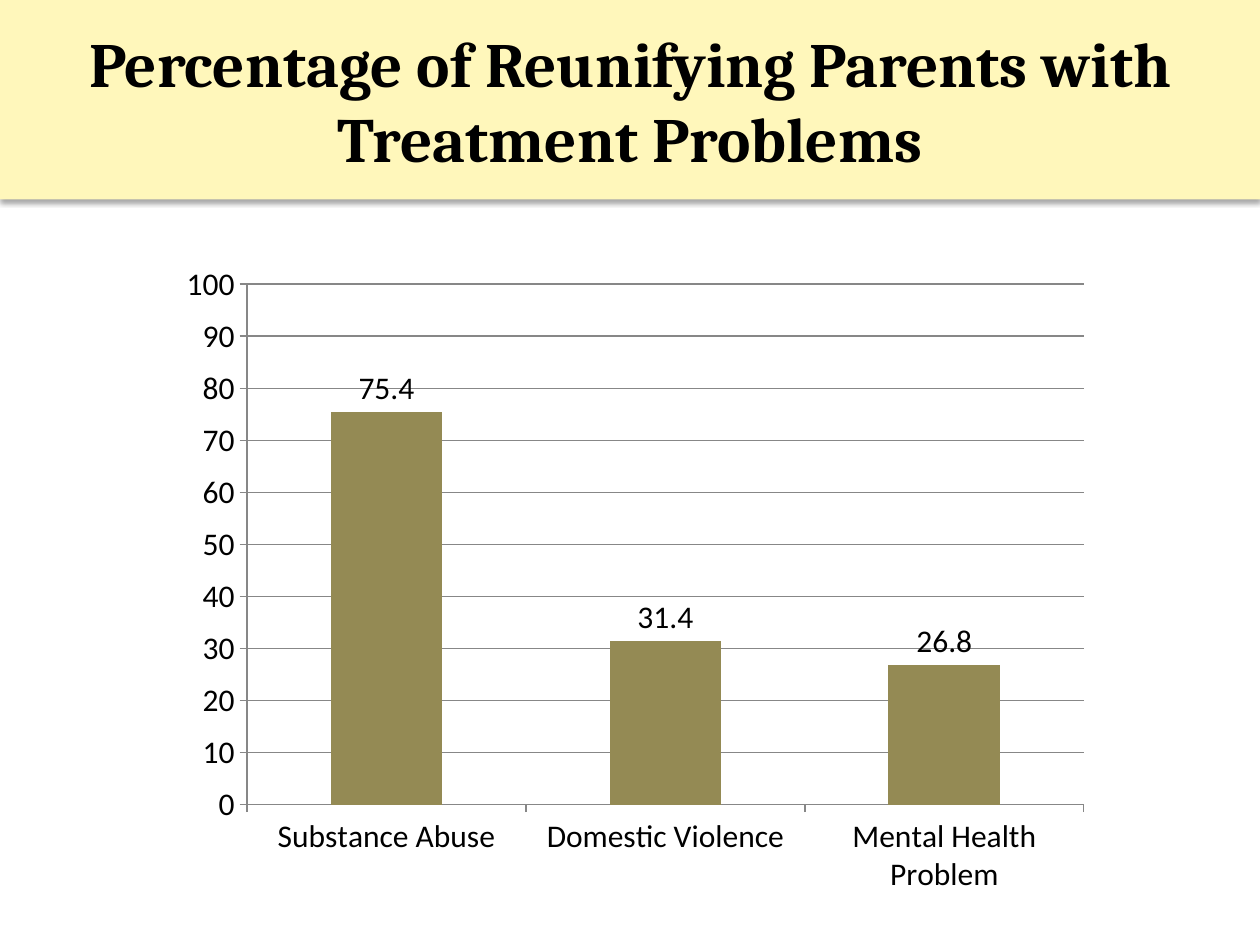
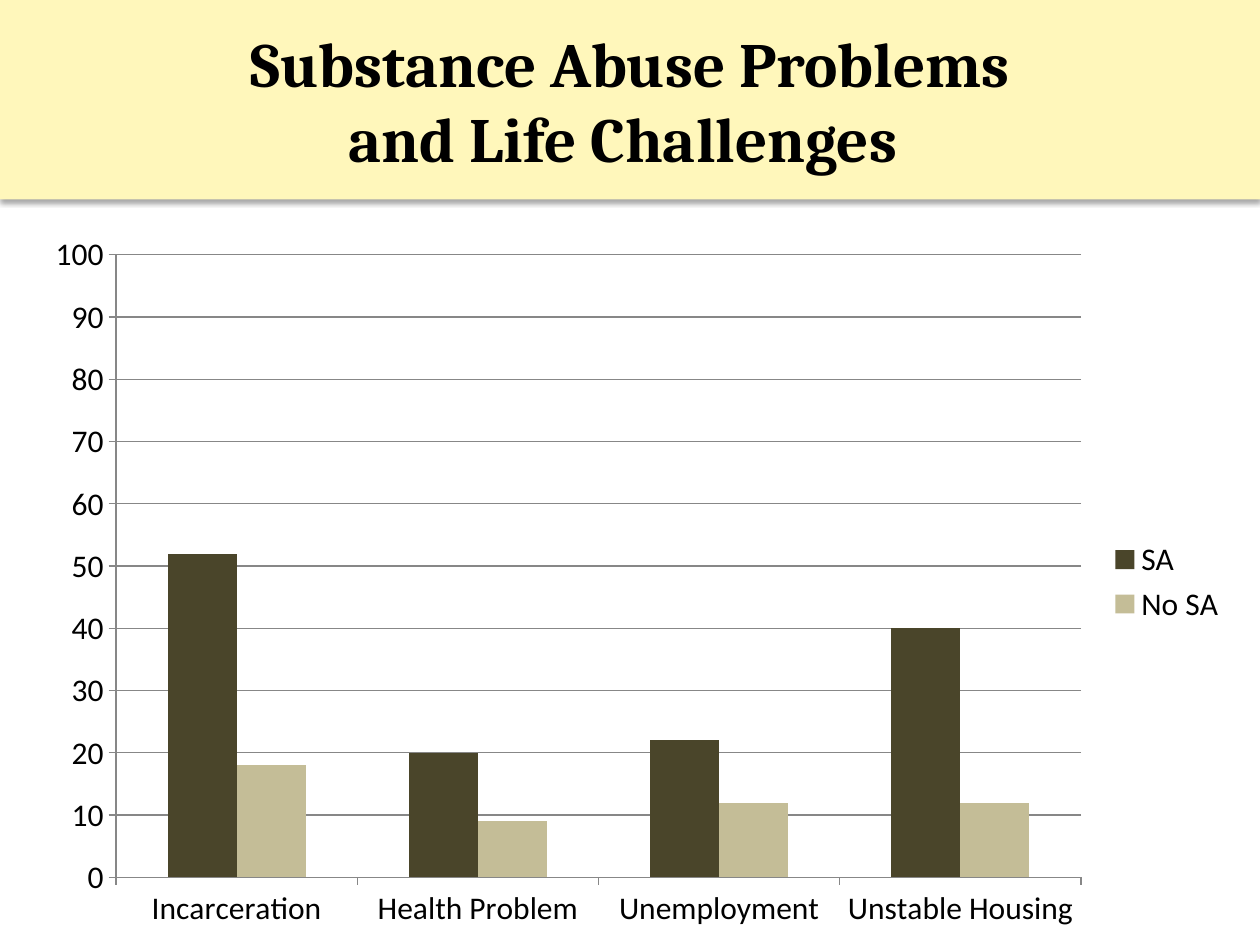
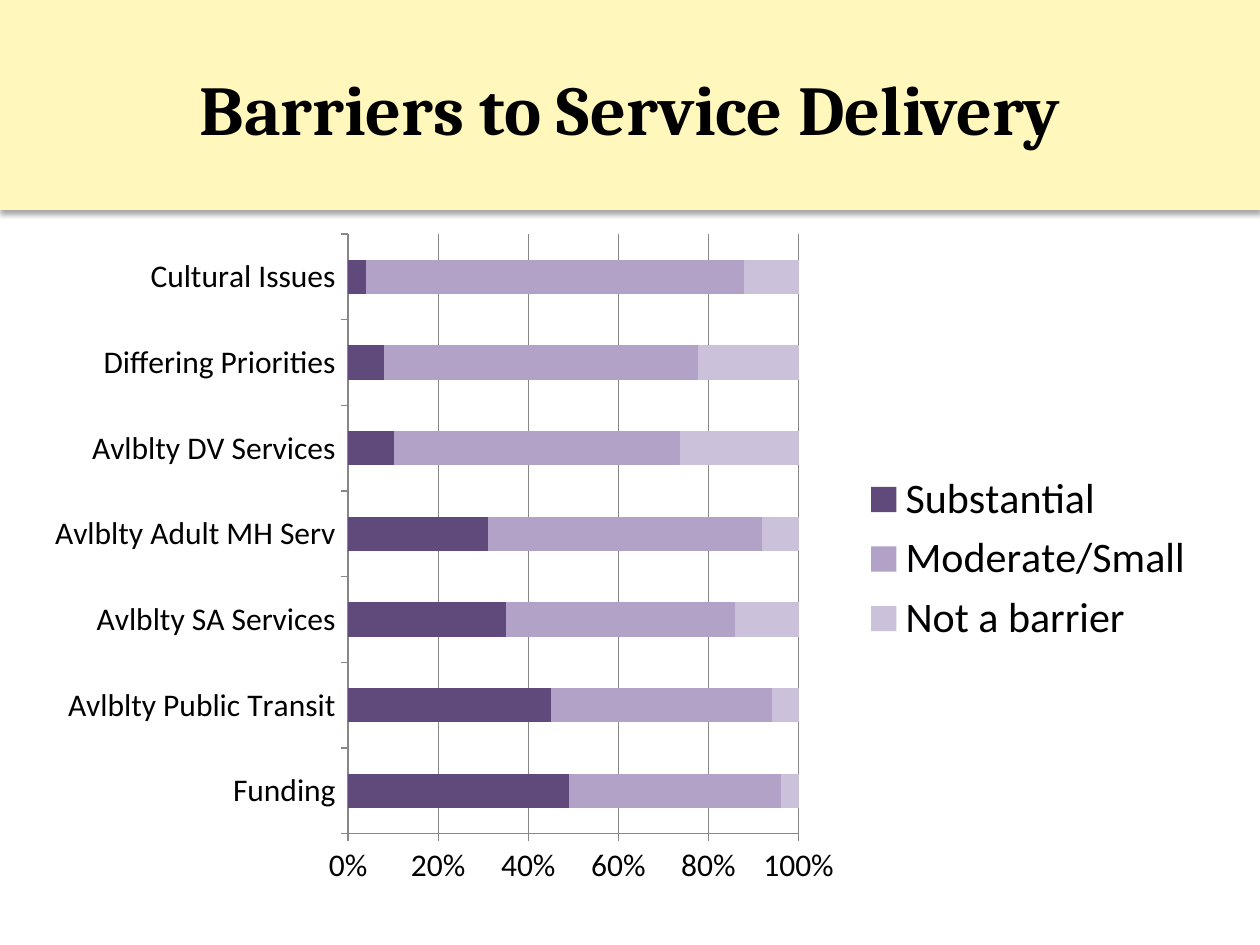
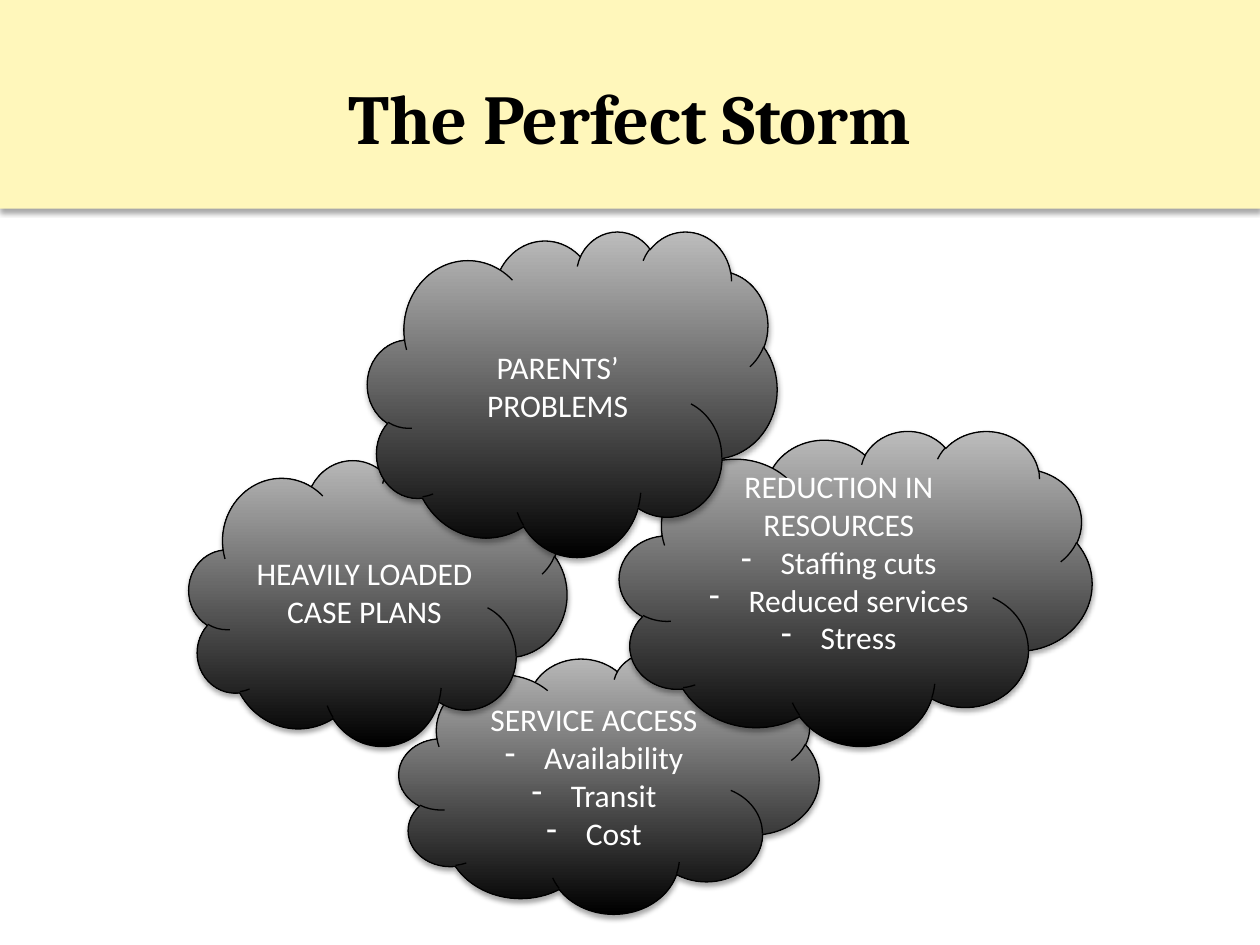
from copy import deepcopy
from dataclasses import dataclass

from lxml.etree import SubElement
from pptx import Presentation
from pptx.chart.data import CategoryChartData
from pptx.dml.color import RGBColor
from pptx.enum.chart import XL_CHART_TYPE, XL_LABEL_POSITION, XL_LEGEND_POSITION, XL_TICK_MARK
from pptx.enum.shapes import MSO_SHAPE
from pptx.enum.text import MSO_ANCHOR, MSO_AUTO_SIZE, PP_ALIGN
from pptx.oxml import parse_xml
from pptx.oxml.ns import nsdecls, qn
from pptx.util import Pt

TITLE_ONLY_LAYOUT = 5
SLIDE_WIDTH, SLIDE_HEIGHT = 720, 540


@dataclass(frozen=True)
class Theme:
    title_font: str = "Cambria"
    body_font: str = "Calibri"
    title_size: int = 40
    long_title_size: int = 36
    body_size: int = 18
    legend_size: int = 24
    band: str = "FFF7BB"
    dark: str = "000000"
    light: str = "FFFFFF"
    cloud_top: str = "BDBDBD"
    axis: str = "878787"
    olive: str = "948A54"
    dark_olive: str = "4A452A"
    pale_olive: str = "C4BD97"
    purples: tuple = ("604A7B", "B3A2C7", "CCC1DA")


THEME = Theme()


def color(value):
    return RGBColor.from_string(value)


def points(box):
    return [Pt(length) for length in box]


def format_font(font, *, name=THEME.body_font, size=THEME.body_size, ink=THEME.dark, bold=False):
    font.name = name
    font.size = Pt(size)
    font.bold = bold
    font.color.rgb = color(ink)


def write_paragraph(paragraph, text, *, bullet=None, align=PP_ALIGN.CENTER, **font_format):
    """Fill a paragraph; line breaks take the font of the first run."""
    paragraph.text = text
    paragraph.alignment = align
    for run in paragraph.runs:
        format_font(run.font, **font_format)
    for line_break in paragraph._p.findall(qn("a:br")):
        line_break.append(deepcopy(paragraph.runs[0].font._element))
    if bullet:
        properties = paragraph._p.get_or_add_pPr()
        properties.set("marL", str(Pt(22.5)))
        properties.set("indent", str(-Pt(22.5)))
        SubElement(properties, qn("a:buChar")).set("char", bullet)


def add_soft_shadow(shape):
    shape._element.spPr.append(parse_xml(
        f'<a:effectLst {nsdecls("a")}>'
        f'<a:outerShdw blurRad="{Pt(3.1)}" dist="{Pt(1.8)}" dir="5400000" rotWithShape="0">'
        f'<a:srgbClr val="{THEME.dark}"><a:alpha val="35000"/></a:srgbClr>'
        '</a:outerShdw></a:effectLst>'))


def add_band(slide, top, height):
    band = slide.shapes.add_shape(MSO_SHAPE.RECTANGLE, *points((0, top, SLIDE_WIDTH, height)))
    band.fill.solid()
    band.fill.fore_color.rgb = color(THEME.band)
    band.line.fill.background()
    add_soft_shadow(band)
    slide.shapes._spTree.insert(2, band._element)  # behind the title


def add_titled_slide(presentation, text, *, title_box=(36, 12, 648, 90), band_top=0,
                     band_height=120, size=THEME.title_size):
    slide = presentation.slides.add_slide(presentation.slide_layouts[TITLE_ONLY_LAYOUT])
    add_band(slide, band_top, band_height)
    title = slide.shapes.title
    title.left, title.top, title.width, title.height = points(title_box)
    frame = title.text_frame
    frame.auto_size = MSO_AUTO_SIZE.NONE
    frame.vertical_anchor = MSO_ANCHOR.MIDDLE
    write_paragraph(frame.paragraphs[0], text, name=THEME.title_font, size=size, bold=True)
    return slide


def format_axes(chart, maximum, number_format):
    for axis in (chart.category_axis, chart.value_axis):
        axis.major_tick_mark = XL_TICK_MARK.OUTSIDE
        axis.minor_tick_mark = XL_TICK_MARK.NONE
        axis.format.line.color.rgb = color(THEME.axis)
        axis.format.line.width = Pt(0.75)
    chart.category_axis.has_major_gridlines = False
    values = chart.value_axis
    values.has_major_gridlines = True
    values.major_gridlines.format.line.color.rgb = color(THEME.axis)
    values.major_gridlines.format.line.width = Pt(0.75)
    values.tick_labels.number_format = number_format
    values.tick_labels.number_format_is_linked = False
    if maximum:
        values.minimum_scale = 0
        values.maximum_scale = maximum
        values.major_unit = 10


def add_bar_chart(slide, box, categories, series, colors, *, kind=XL_CHART_TYPE.COLUMN_CLUSTERED,
                  maximum=100, number_format="General", legend_size=None, labels=False):
    data = CategoryChartData()
    data.categories = categories
    for name, values in series.items():
        data.add_series(name, values)
    chart = slide.shapes.add_chart(kind, *points(box), data).chart
    format_font(chart.font)
    chart.has_title = False
    format_axes(chart, maximum, number_format)

    plot = chart.plots[0]
    plot.gap_width = 150
    plot.vary_by_categories = False
    if kind == XL_CHART_TYPE.BAR_STACKED_100:
        plot.overlap = 100
    for bars, fill in zip(plot.series, colors):
        bars.format.fill.solid()
        bars.format.fill.fore_color.rgb = color(fill)
    if labels:
        plot.has_data_labels = True
        plot.data_labels.show_value = True
        plot.data_labels.position = XL_LABEL_POSITION.OUTSIDE_END
        format_font(plot.data_labels.font)

    chart.has_legend = legend_size is not None
    if chart.has_legend:
        chart.legend.position = XL_LEGEND_POSITION.RIGHT
        chart.legend.include_in_layout = False
        format_font(chart.legend.font, size=legend_size)


def add_cloud(slide, box, heading, items=(), *, bottom_margin=3.6):
    cloud = slide.shapes.add_shape(MSO_SHAPE.CLOUD, *points(box))
    cloud.fill.gradient()
    cloud.fill.gradient_angle = 90
    for stop, shade in zip(cloud.fill.gradient_stops, (THEME.dark, THEME.cloud_top)):
        stop.color.rgb = color(shade)
    cloud.line.color.rgb = color(THEME.dark)
    cloud.line.width = Pt(0.75)
    add_soft_shadow(cloud)

    frame = cloud.text_frame
    frame.word_wrap = True
    frame.vertical_anchor = MSO_ANCHOR.MIDDLE
    frame.margin_bottom = Pt(bottom_margin)
    write_paragraph(frame.paragraphs[0], heading, ink=THEME.light)
    for item in items:
        write_paragraph(frame.add_paragraph(), item, bullet="-", ink=THEME.light)


def add_treatment_slide(presentation):
    slide = add_titled_slide(presentation, "Percentage of Reunifying Parents with Treatment Problems",
                             band_height=114, size=THEME.long_title_size)
    add_bar_chart(slide, (96, 144, 534, 374),
                  ["Substance Abuse", "Domestic Violence", "Mental Health Problem"],
                  {"Series 1": (75.4, 31.4, 26.8)}, [THEME.olive], labels=True)


def add_challenges_slide(presentation):
    slide = add_titled_slide(presentation, "Substance Abuse Problems\vand Life Challenges ",
                             band_height=114, size=THEME.long_title_size)
    add_bar_chart(slide, (18, 126.5, 690, 412),
                  ["Incarceration", "Health Problem", "Unemployment", "Unstable Housing"],
                  {"SA": (52, 20, 22, 40), "No SA": (18, 9, 12, 12)},
                  [THEME.dark_olive, THEME.pale_olive], legend_size=THEME.body_size)


def add_barriers_slide(presentation):
    slide = add_titled_slide(presentation, "Barriers to Service Delivery", title_box=(24, 12, 672, 99))
    add_bar_chart(slide, (18, 126, 673, 387),
                  ["Funding", "Avlblty Public Transit", "Avlblty SA Services",
                   "Avlblty Adult MH Serv", "Avlblty DV Services", "Differing Priorities",
                   "Cultural Issues"],
                  {"Substantial": (49, 45, 35, 31, 10, 8, 4),
                   "Moderate/Small": (47, 49, 51, 61, 63, 69, 84),
                   "Not a barrier": (4, 6, 14, 8, 26, 22, 12)},
                  THEME.purples, kind=XL_CHART_TYPE.BAR_STACKED_100, maximum=None,
                  number_format="0%", legend_size=THEME.legend_size)


def add_storm_slide(presentation):
    slide = add_titled_slide(presentation, "The Perfect Storm",
                             title_box=(36, 21.5, 648, 90), band_top=-0.7)
    add_cloud(slide, (228, 372, 240, 150), "SERVICE ACCESS", ["Availability", "Transit", "Cost"])
    add_cloud(slide, (108, 258, 216, 168), "HEAVILY LOADED CASE PLANS")
    add_cloud(slide, (354, 246, 270, 180), "REDUCTION IN RESOURCES",
              ["Staffing cuts", "Reduced services", "Stress"], bottom_margin=25.2)
    add_cloud(slide, (210, 132, 234, 186), "PARENTS’ PROBLEMS")


def main():
    presentation = Presentation()
    presentation.slide_width, presentation.slide_height = points((SLIDE_WIDTH, SLIDE_HEIGHT))
    add_treatment_slide(presentation)
    add_challenges_slide(presentation)
    add_barriers_slide(presentation)
    add_storm_slide(presentation)
    presentation.save("out.pptx")


if __name__ == "__main__":
    main()
